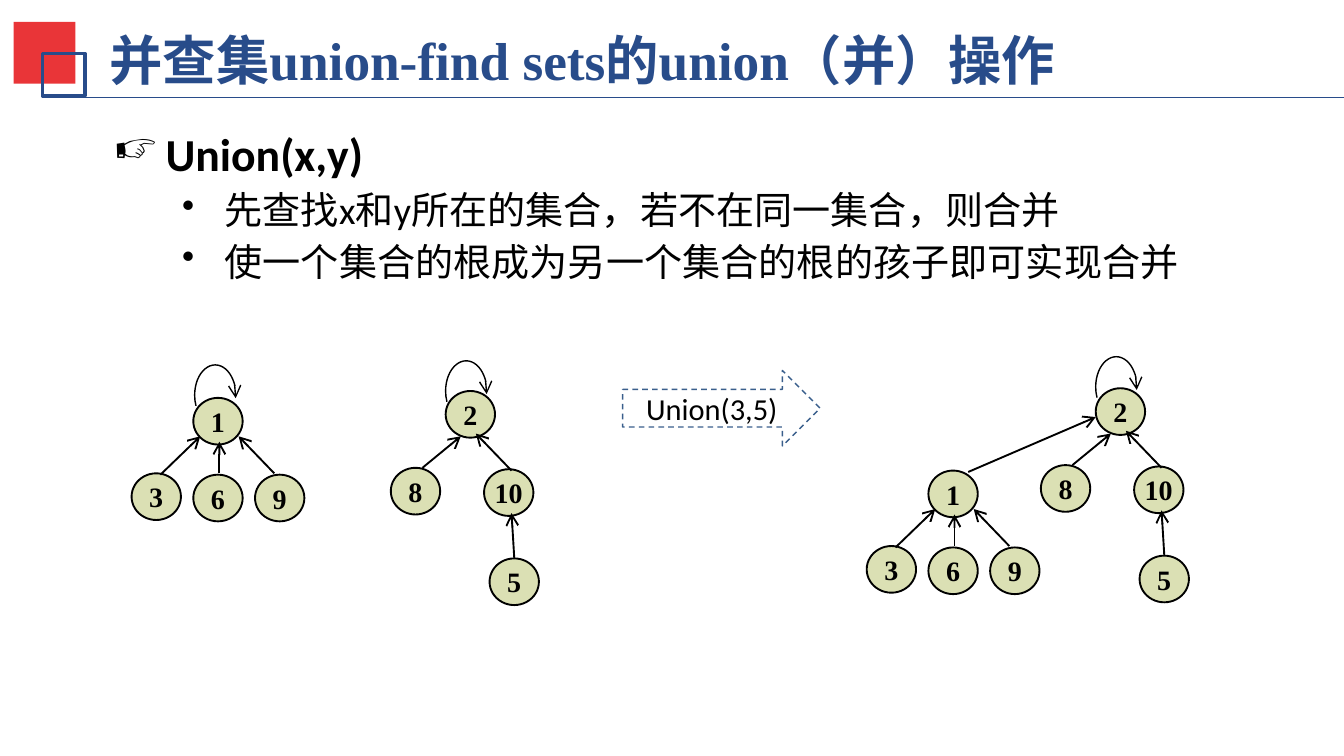
from pptx import Presentation
from pptx.dml.color import RGBColor
from pptx.enum import dml, shapes, text
from pptx.oxml import ns
from pptx.util import Inches, Pt
from lxml import etree

NAVY, RED, GREEN, BLACK = "284C8A", "E93538", "DBE0B4", "000000"
SERIF, SANS = "Times New Roman", "Calibri"
STAR = {
    "nodes": [("9", 0.45, 0.56), ("6", 0, 0.56), ("1", 0, 0), ("3", -0.45, 0.55)],
    "edges": [(0.05, 0.28, -0.24, 0.56), (0.19, 0.32, 0.19, 0.55), (0.33, 0.28, 0.59, 0.55)],
}
CHAIN = {
    "nodes": [("10", 0.28, 0.57), ("2", 0, 0), ("8", -0.4, 0.56), ("5", 0.32, 1.22)],
    "edges": [(0.11, 0.33, -0.17, 0.56), (0.22, 0.31, 0.48, 0.58), (0.48, 0.89, 0.5, 1.22)],
}


def color(value):
    """Turn a hex string into a colour."""
    return RGBColor.from_string(value)


def style_span(para, size, font, shade=BLACK, bold=False):
    """Format every run of a paragraph."""
    for span in para.runs:
        span.font.size, span.font.name, span.font.bold = Pt(size), font, bold
        span.font.color.rgb = color(shade)


def set_insets(frame, side, vertical):
    """Set the inner margins of a text frame."""
    frame.margin_left = frame.margin_right = Inches(side)
    frame.margin_top = frame.margin_bottom = Inches(vertical)


def add_arrowhead(item, end):
    """Put an open arrowhead on one end of a line."""
    etree.SubElement(item.line._get_or_add_ln(), ns.qn(f"a:{end}"), type="arrow")


def add_box(parent, kind, left, top, width, height, fill=None, line=None, weight=1):
    """Add a preset shape with optional fill and outline."""
    box = parent.add_shape(kind, Inches(left), Inches(top), Inches(width), Inches(height))
    box.shadow.inherit = False
    if fill:
        box.fill.solid()
        box.fill.fore_color.rgb = color(fill)
    else:
        box.fill.background()
    if line:
        box.line.color.rgb = color(line)
        box.line.width = Pt(weight)
    else:
        box.line.fill.background()
    return box


def add_label(box, label, size, font, bold):
    """Centre a label inside a shape."""
    frame = box.text_frame
    frame.text = label
    frame.vertical_anchor = text.MSO_ANCHOR.MIDDLE
    para = frame.paragraphs[0]
    para.alignment = text.PP_ALIGN.CENTER
    style_span(para, size, font, bold=bold)


def add_line(parent, x1, y1, x2, y2, shade=BLACK, weight=1):
    """Add a straight line without a shadow."""
    line = parent.add_connector(
        shapes.MSO_CONNECTOR.STRAIGHT, Inches(x1), Inches(y1), Inches(x2), Inches(y2))
    line.line.color.rgb = color(shade)
    line.line.width = Pt(weight)
    etree.SubElement(line._element.spPr, ns.qn("a:effectLst"))
    return line


def add_edge(parent, x1, y1, x2, y2):
    """Link a tree node to its child, with the arrow at the node."""
    add_arrowhead(add_line(parent, x1, y1, x2, y2), "headEnd")


def add_node(parent, label, left, top):
    """Add a round numbered tree node."""
    node = add_box(parent, shapes.MSO_SHAPE.OVAL, left, top, 0.36, 0.34, GREEN, BLACK)
    add_label(node, label, 14.7, SERIF, True)
    set_insets(node.text_frame, 0, 0.05)
    node.text_frame.word_wrap = False


def add_loop(parent, left, top):
    """Add the arc by which a root points to itself."""
    loop = add_box(parent, shapes.MSO_SHAPE.ARC, left, top, 0.3, 0.44, None, BLACK, 0.75)
    loop.adjustments[0], loop.adjustments[1] = 90.466, 5.185
    add_arrowhead(loop, "tailEnd")


def add_tree(parent, tree, left, top):
    """Draw a tree whose root circle sits at the given corner."""
    for label, right, down in tree["nodes"]:
        add_node(parent, label, left + right, top + down)
    for x1, y1, x2, y2 in tree["edges"]:
        add_edge(parent, left + x1, top + y1, left + x2, top + y2)


def add_text(parent, left, top, width, height):
    """Add an empty wrapping text box and return its frame."""
    box = parent.add_textbox(Inches(left), Inches(top), Inches(width), Inches(height))
    box.text_frame.word_wrap = True
    return box.text_frame


def add_bullet(para, words, mark, margin, indent, size, bold):
    """Fill a paragraph and give it a hanging bullet."""
    para.text = words
    style_span(para, size, SANS, bold=bold)
    para.space_before = Pt(size * 0.15)
    properties = para._p.get_or_add_pPr()
    properties.set("marL", str(Inches(margin)))
    properties.set("indent", str(Inches(-indent)))
    etree.SubElement(properties, ns.qn("a:buSzPct"), val="95000")
    etree.SubElement(properties, ns.qn("a:buChar"), char=mark)


def add_header(parent):
    """Draw the title with its squares and rule."""
    frame = add_text(parent, 0.73, 0.16, 7.72, 0.55)
    set_insets(frame, 0.07, 0.04)
    frame.text = "并查集union-find sets的union（并）操作"
    style_span(frame.paragraphs[0], 28, SERIF, NAVY, True)
    add_box(parent, shapes.MSO_SHAPE.RECTANGLE, 0.1, 0.16, 0.45, 0.45, RED)
    add_box(parent, shapes.MSO_SHAPE.RECTANGLE, 0.31, 0.39, 0.31, 0.31, None, NAVY, 2)
    add_line(parent, 0.38, 0.71, 9.8, 0.71, NAVY, 0.75)


def add_explanation(parent):
    """Write the description of the union operation."""
    frame = add_text(parent, 0.73, 0.87, 8.74, 1.5)
    add_bullet(frame.paragraphs[0], "Union(x,y)", "☞", 0.38, 0.38, 24, True)
    for words in ("先查找x和y所在的集合，若不在同一集合，则合并",
                  "使一个集合的根成为另一个集合的根的孩子即可实现合并"):
        para = frame.add_paragraph()
        para.level = 1
        add_bullet(para, words, "•", 0.81, 0.31, 20, False)


def add_union_arrow(parent):
    """Add the dashed block arrow between the two states."""
    arrow = add_box(parent, shapes.MSO_SHAPE.RIGHT_ARROW, 4.54, 2.7, 1.44, 0.55,
                    None, "3A5F8C", 0.75)
    arrow.line.dash_style = dml.MSO_LINE.DASH
    add_label(arrow, "Union(3,5)", 16, SANS, False)


def main():
    """Build the slide and save it."""
    deck = Presentation()
    deck.slide_width, deck.slide_height = Inches(9.8), Inches(5.51)
    page = deck.slides.add_slide(deck.slide_layouts[6]).shapes
    add_header(page)
    add_explanation(page)
    add_tree(page, STAR, 1.41, 2.9)
    add_loop(page, 1.42, 2.66)
    add_tree(page, CHAIN, 3.25, 2.85)
    add_loop(page, 3.25, 2.63)
    add_union_arrow(page)
    merged = page.add_group_shape().shapes
    add_tree(merged, STAR, 6.77, 3.43)
    add_tree(merged, CHAIN, 7.99, 2.83)
    add_loop(merged, 7.99, 2.6)
    add_edge(merged, 7.99, 3.04, 7.06, 3.44)
    deck.save("out.pptx")


if __name__ == "__main__":
    main()
